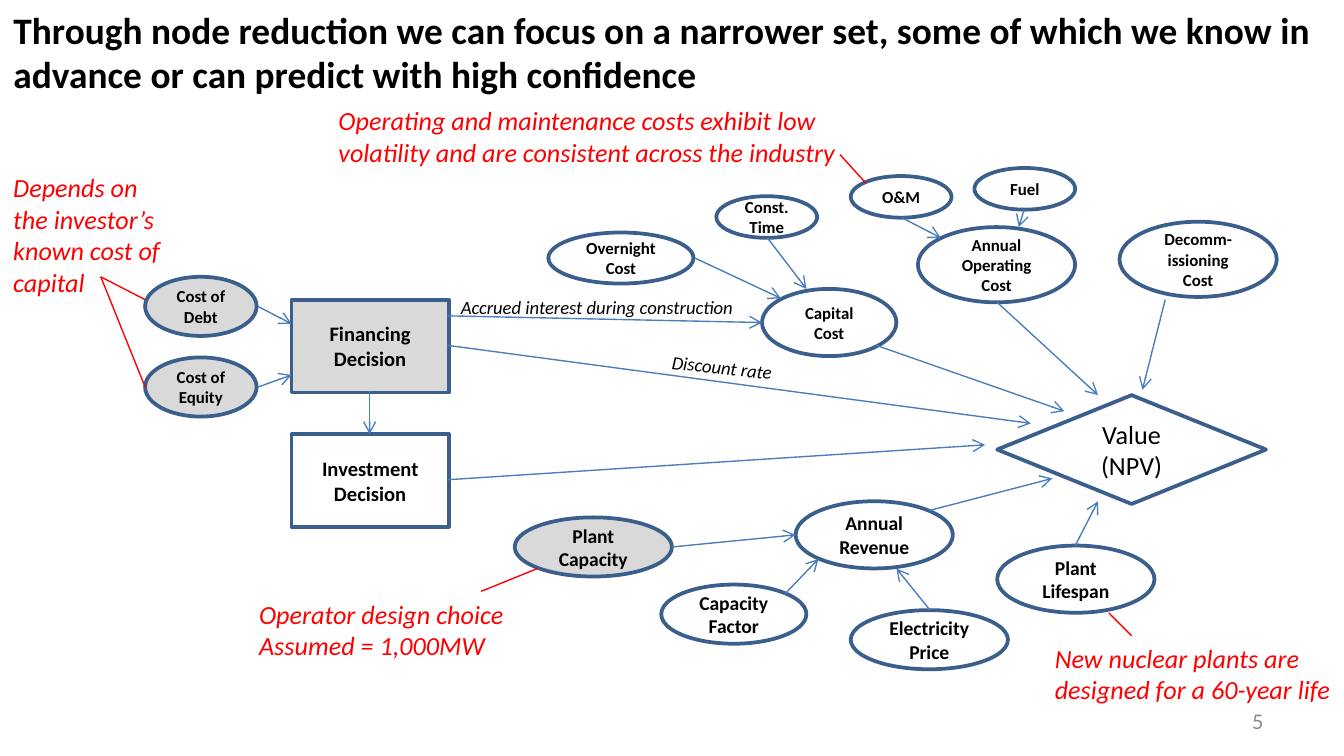
from dataclasses import dataclass
from typing import Optional

import lxml.etree
import pptx
import pptx.dml.color
import pptx.enum.shapes
import pptx.enum.text
import pptx.oxml.ns
import pptx.slide
import pptx.text.text
import pptx.util

RGBColor = pptx.dml.color.RGBColor
Cm = pptx.util.Cm
Pt = pptx.util.Pt
Shape = pptx.enum.shapes.MSO_SHAPE
Align = pptx.enum.text.PP_ALIGN
Anchor = pptx.enum.text.MSO_ANCHOR
AutoSize = pptx.enum.text.MSO_AUTO_SIZE
qn = pptx.oxml.ns.qn

BLACK = RGBColor(0x00, 0x00, 0x00)
RED = RGBColor(0xFF, 0x00, 0x00)
OUTLINE = RGBColor(0x3A, 0x5F, 0x8C)
ARROW = RGBColor(0x4B, 0x7E, 0xBC)
KNOWN = RGBColor(0xD9, 0xD9, 0xD9)
NUMBER = RGBColor(0x8C, 0x8C, 0x8C)
FONT = "Calibri"
CM_PER_UNIT = 2.54


@dataclass
class Node:
    text: str
    left: float
    top: float
    width: float
    height: float
    size: float = 9
    fill: Optional[RGBColor] = None
    outline: Shape = Shape.OVAL
    bold: bool = True


@dataclass
class Link:
    x1: float
    y1: float
    x2: float
    y2: float
    color: RGBColor = ARROW
    arrow: bool = True


@dataclass
class Note:
    text: str
    left: float
    top: float
    width: float
    height: float
    size: float = 14
    color: RGBColor = RED
    wrap: bool = True
    rotation: float = 0
    italic: bool = True
    align: Align = Align.LEFT


def length(units: float) -> pptx.util.Length:
    return Cm(units * CM_PER_UNIT)


def write(frame: pptx.text.text.TextFrame, text: str, size: float, color: RGBColor,
          align: Align, bold: bool = False, italic: bool = False) -> None:
    frame.text = text
    for paragraph in frame.paragraphs:
        paragraph.alignment = align
        for run in paragraph.runs:
            run.font.name = FONT
            run.font.size = Pt(size)
            run.font.bold = bold
            run.font.italic = italic
            run.font.color.rgb = color


def draw_node(slide: pptx.slide.Slide, node: Node) -> None:
    shape = slide.shapes.add_shape(
        node.outline, *map(length, (node.left, node.top, node.width, node.height)))
    shape.shadow.inherit = False
    if node.fill is None:
        shape.fill.background()
    else:
        shape.fill.solid()
        shape.fill.fore_color.rgb = node.fill
    shape.line.color.rgb = OUTLINE
    shape.line.width = Pt(2)
    shape.text_frame.word_wrap = True
    shape.text_frame.vertical_anchor = Anchor.MIDDLE
    write(shape.text_frame, node.text, node.size, BLACK, Align.CENTER, bold=node.bold)


def draw_link(slide: pptx.slide.Slide, link: Link) -> None:
    connector = slide.shapes.add_connector(
        pptx.enum.shapes.MSO_CONNECTOR.STRAIGHT,
        *map(length, (link.x1, link.y1, link.x2, link.y2)))
    connector.line.color.rgb = link.color
    connector.line.width = Pt(0.75)
    properties = connector.element.spPr
    if link.arrow:
        lxml.etree.SubElement(properties.find(qn("a:ln")), qn("a:tailEnd"), type="arrow")
    lxml.etree.SubElement(properties, qn("a:effectLst"))


def draw_note(slide: pptx.slide.Slide, note: Note) -> None:
    box = slide.shapes.add_textbox(
        *map(length, (note.left, note.top, note.width, note.height)))
    box.rotation = note.rotation
    box.text_frame.word_wrap = note.wrap
    write(box.text_frame, note.text, note.size, note.color, note.align, italic=note.italic)


NODES = [
    Node("Financing Decision", 2.17, 2.23, 1.17, 0.69, 11, KNOWN, Shape.RECTANGLE),
    Node("Investment Decision", 2.17, 3.23, 1.17, 0.69, 11, None, Shape.RECTANGLE),
    Node("Cost of Debt", 1.08, 2.06, 0.83, 0.44, fill=KNOWN),
    Node("Cost of Equity", 1.08, 2.66, 0.83, 0.44, fill=KNOWN),
    Node("Capital Cost", 5.67, 2.15, 1, 0.5),
    Node("Value (NPV)", 7.42, 2.94, 2, 0.81, 14, None, Shape.DIAMOND, False),
    Node("Annual\nOperating Cost", 6.83, 1.69, 1.17, 0.56),
    Node("Decomm-issioning Cost", 8.33, 1.65, 1.17, 0.56),
    Node("Annual\nRevenue", 5.92, 3.73, 1.17, 0.5, 10.5),
    Node("O&M", 6.33, 1.31, 0.75, 0.31),
    Node("Fuel", 7.25, 1.25, 0.75, 0.31),
    Node("Overnight Cost", 4.08, 1.73, 1.08, 0.38),
    Node("Const. Time", 5.33, 1.46, 0.75, 0.31),
    Node("Plant Lifespan", 7.42, 4.06, 1.17, 0.5, 10.5),
    Node("Plant Capacity", 3.83, 3.85, 1.17, 0.44, 10.5, KNOWN),
    Node("Capacity Factor", 4.92, 4.35, 1.08, 0.44, 10.5),
    Node("Electricity Price", 6.33, 4.54, 1.17, 0.44, 10.5),
]

LINKS = [
    Link(1.92, 2.28, 2.17, 2.41),
    Link(1.92, 2.88, 2.17, 2.79),
    Link(3.33, 2.57, 7.67, 3.15),
    Link(3.33, 3.57, 7.33, 3.31),
    Link(6.52, 2.57, 7.92, 3.06),
    Link(3.33, 2.35, 5.67, 2.4),
    Link(7.42, 2.25, 8.17, 2.94),
    Link(8.67, 2.23, 8.5, 2.9),
    Link(7.62, 1.56, 7.58, 1.69),
    Link(6.71, 1.62, 7, 1.77),
    Link(6.91, 3.8, 7.83, 3.56),
    Link(2.75, 2.91, 2.75, 3.23),
    Link(5.71, 1.77, 6, 2.15),
    Link(5.17, 1.92, 5.81, 2.22),
    Link(8, 4.06, 8.17, 3.73),
    Link(5, 4.07, 5.92, 3.98),
    Link(5.84, 4.42, 6.09, 4.16),
    Link(6.92, 4.54, 6.67, 4.23),
    Link(3.58, 4.4, 4, 4.23, RED, False),
    Link(8.25, 4.56, 8.42, 4.73, RED, False),
    Link(6.25, 1.15, 6.44, 1.36, RED, False),
    Link(0.75, 2.06, 1.08, 2.23, RED, False),
    Link(0.75, 2.06, 1.08, 2.88, RED, False),
]

NOTES = [
    Note("Accrued interest during construction", 3.33, 2.15, 2.25, 0.27, 10, BLACK, False),
    Note("Discount rate", 4.9, 2.6, 0.96, 0.27, 10, BLACK, False, 6),
    Note("Operator design choice\nAssumed = 1,000MW", 1.83, 4.4, 2.04, 0.57, wrap=False),
    Note("New nuclear plants are designed for a 60-year life", 7.75, 4.73, 2.33, 0.57),
    Note("Operating and maintenance costs exhibit low volatility and are consistent "
         "across the industry", 2.42, 0.73, 4.08, 0.57),
    Note("Depends on the investor’s known cost of capital", 0, 1.23, 1.33, 1.04),
    Note("5", 7.17, 5.21, 2.33, 0.3, 12, NUMBER, italic=False, align=Align.RIGHT),
]

presentation = pptx.Presentation()
presentation.slide_width = Cm(25.4)
presentation.slide_height = presentation.slide_width * 9 // 16
slide = presentation.slides.add_slide(presentation.slide_layouts[5])

headline = slide.shapes.title
headline.left, headline.top, headline.width, headline.height = map(length, (0, 0, 10, 0.77))
headline.text_frame.word_wrap = True
headline.text_frame.auto_size = AutoSize.NONE
headline.text_frame.vertical_anchor = Anchor.TOP
write(headline.text_frame,
      "Through node reduction we can focus on a narrower set, some of which we know in "
      "advance or can predict with high confidence", 20, BLACK, Align.LEFT, bold=True)

for node in NODES:
    draw_node(slide, node)
for link in LINKS:
    draw_link(slide, link)
for note in NOTES:
    draw_note(slide, note)

presentation.save("out.pptx")
